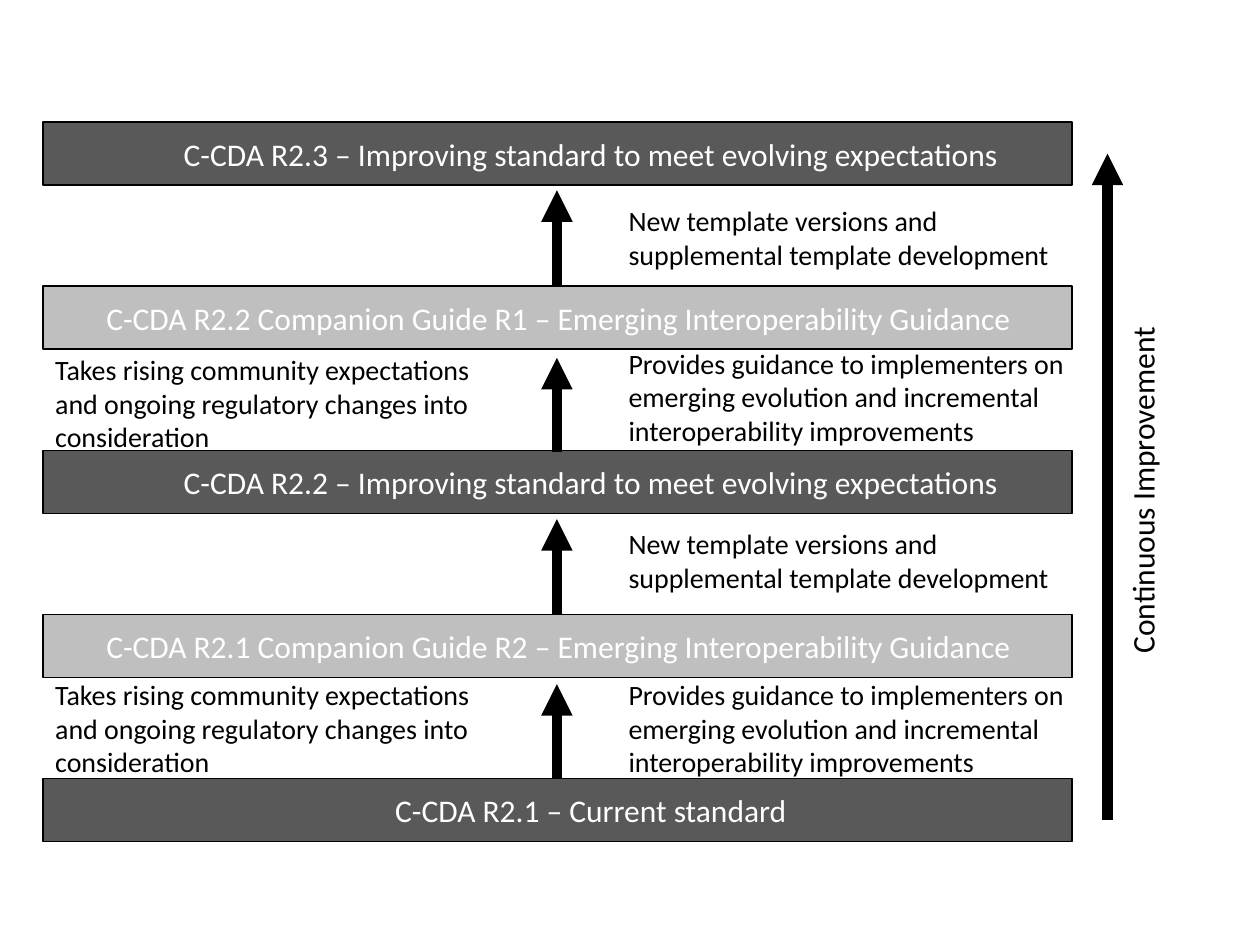
"""Build the C-CDA continuous improvement ladder slide."""
from lxml.etree import SubElement
from pptx import Presentation
from pptx.dml.color import RGBColor
from pptx.enum.shapes import MSO_CONNECTOR, MSO_SHAPE
from pptx.enum.text import MSO_AUTO_SIZE, PP_ALIGN
from pptx.oxml.ns import qn
from pptx.util import Inches, Pt

COLORS = {"dark": "595959", "light": "BFBFBF", "ink": "000000", "white": "FFFFFF"}
FONT = "Calibri"
LEFT, WIDTH, HIGH = 0.34, 8.17, 0.5
TOP, STEP = 0.97, 1.3025
WIDE, GUIDE = (1.16, 7.06), (0.45, 7.97)

BARS = [
    ("C-CDA R2.3 – Improving standard to meet evolving expectations", "dark", WIDE),
    ("C-CDA R2.2 Companion Guide R1 – Emerging Interoperability Guidance", "light", GUIDE),
    ("C-CDA R2.2 – Improving standard to meet evolving expectations", "dark", WIDE),
    ("C-CDA R2.1 Companion Guide R2 – Emerging Interoperability Guidance", "light", GUIDE),
    ("C-CDA R2.1 – Current standard", "dark", WIDE),
]
NEEDS = "Takes rising community expectations and ongoing regulatory changes into consideration"
GUIDES = ("Provides guidance to implementers on emerging evolution "
          "and incremental interoperability improvements")
NEWS = "New template versions and supplemental template development"
NOTES = [
    (NEWS, 4.89, 1.57, 3.62, 0.64),
    (NEEDS, 0.34, 2.75, 3.64, 0.91),
    (GUIDES, 4.89, 2.7, 3.84, 0.91),
    (NEWS, 4.89, 4.13, 3.62, 0.64),
    (NEEDS, 0.34, 5.33, 3.64, 0.91),
    (GUIDES, 4.89, 5.33, 3.84, 0.91),
]
ARROWS = [(4.42, 2.26, 1.51), (4.42, 3.59, 2.84), (4.42, 4.88, 4.12),
          (4.42, 6.18, 5.43), (8.79, 6.51, 1.22)]


def paint(name):
    return RGBColor.from_string(COLORS[name])


def add_bar(slide, top, fill):
    bar = slide.shapes.add_shape(
        MSO_SHAPE.RECTANGLE, Inches(LEFT), Inches(top), Inches(WIDTH), Inches(HIGH))
    bar.shadow.inherit = False
    bar.fill.solid()
    bar.fill.fore_color.rgb = paint(fill)
    bar.line.color.rgb = paint("ink")
    bar.line.width = Pt(1)


def add_text(slide, text, left, top, width, high, size=16, color="ink",
             align=PP_ALIGN.LEFT, wrap=True):
    box = slide.shapes.add_textbox(Inches(left), Inches(top), Inches(width), Inches(high))
    frame = box.text_frame
    frame.word_wrap = wrap
    frame.auto_size = MSO_AUTO_SIZE.SHAPE_TO_FIT_TEXT
    para = frame.paragraphs[0]
    para.text = text
    para.alignment = align
    para.font.name = FONT
    para.font.size = Pt(size)
    para.font.color.rgb = paint(color)
    return box


def add_arrow(slide, x, start, end):
    arrow = slide.shapes.add_connector(
        MSO_CONNECTOR.STRAIGHT, Inches(x), Inches(start), Inches(x), Inches(end))
    arrow.line.color.rgb = paint("ink")
    arrow.line.width = Pt(6)
    SubElement(arrow.line._get_or_add_ln(), qn("a:tailEnd"), type="triangle")
    SubElement(arrow._element.spPr, qn("a:effectLst"))


def main():
    deck = Presentation()
    deck.slide_width, deck.slide_height = Inches(10), Inches(7.5)
    slide = deck.slides.add_slide(deck.slide_layouts[6])
    for row, (text, fill, (left, width)) in enumerate(BARS):
        top = TOP + row * STEP
        add_bar(slide, top, fill)
        add_text(slide, text, left, top + 0.05, width, 0.4, 18, "white", PP_ALIGN.CENTER)
    for note in NOTES:
        add_text(slide, *note)
    for arrow in ARROWS:
        add_arrow(slide, *arrow)
    side = add_text(slide, "Continuous Improvement", 7.65, 3.67, 2.83, 0.4, 18, wrap=False)
    side.rotation = 270
    deck.save("out.pptx")


main()
